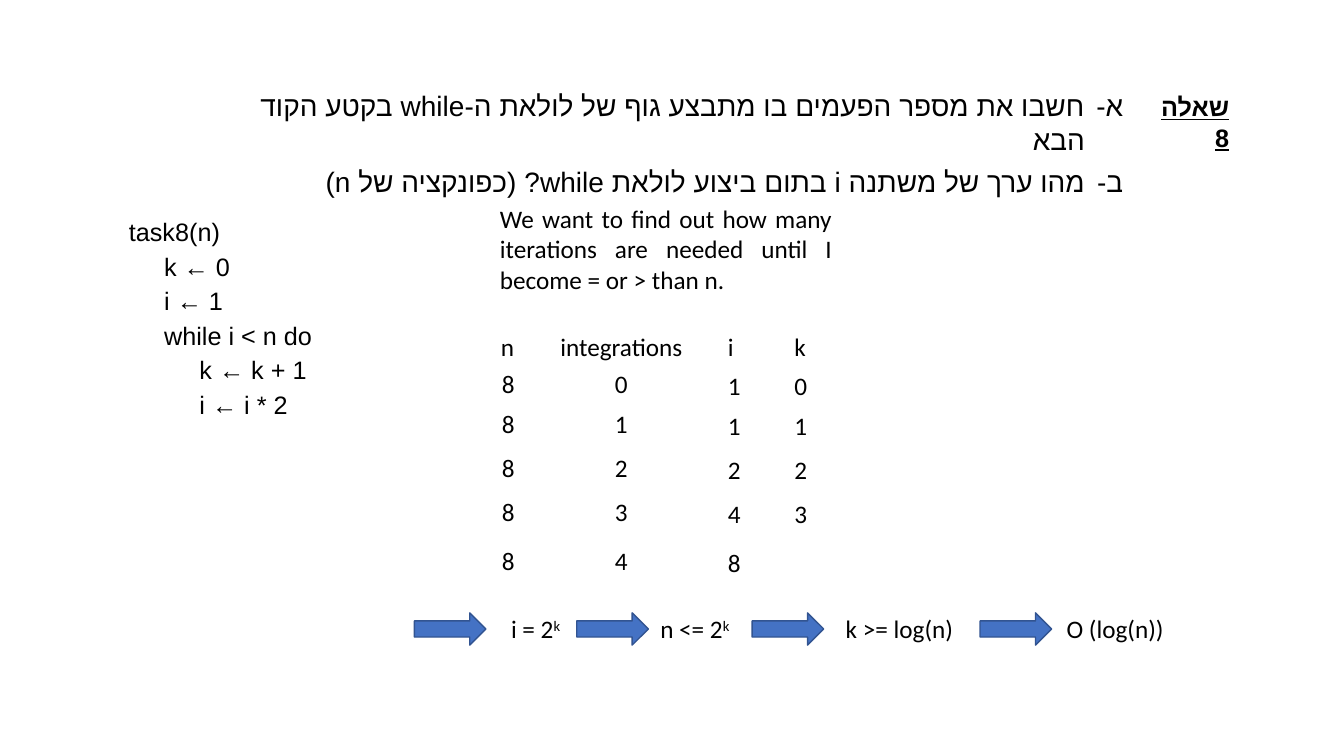
from lxml.etree import SubElement as Sub
from pptx import Presentation
from pptx.dml.color import RGBColor
from pptx.enum.shapes import MSO_SHAPE as Shape
from pptx.enum.text import MSO_ANCHOR as Anchor, MSO_AUTO_SIZE as Auto, PP_ALIGN as Align
from pptx.oxml.ns import qn
from pptx.util import Inches, Pt

BLACK = RGBColor(0x00, 0x00, 0x00)
BLUE = RGBColor(0x44, 0x72, 0xC4)
NAVY = RGBColor(0x32, 0x54, 0x91)
SERIF, SANS, PLAIN = "Times New Roman", "Arial", "Calibri"

TITLE = "שאלה 8"
TASKS = [
    [("חשבו את מספר הפעמים בו מתבצע גוף של לולאת ה-", SERIF), ("while", SANS),
     (" בקטע הקוד הבא", SERIF)],
    [("מהו ערך של משתנה ", SERIF), ("i", SANS), (" בתום ביצוע לולאת ", SERIF),
     ("while", SANS), ("? (כפונקציה של ", SERIF), ("n", SANS), (")", SERIF)],
]
CODE = [(0, "task8(n)"), (1, "k ← 0"), (1, "i ← 1"), (1, "while i < n do"),
        (2, "k ← k + 1"), (2, "i ← i * 2")]
GOAL = "We want to find out how many iterations are needed until I become = or > than n."
HEADS = [("n", 4.87, 0.43), ("integrations", 5.46, 1.5), ("i", 7.12, 0.43), ("k", 7.78, 0.43)]
COLS = [(4.88, 0), (6, 0), (7.12, 0.02), (7.78, 0.02)]
ROWS = [(3.6, "8010"), (4, "8111"), (4.44, "8222"), (4.87, "8343"), (5.36, "848")]
STEPS = [(4.11, 4.97, 0.75, "i = 2", "k"), (5.72, 6.45, 1.11, "n <= 2", "k"),
         (7.46, 8.29, 1.3, "k >= log(n)", ""), (9.72, 10.48, 1.3, "O (log(n))", "")]


def apply(item, vals):
    """Set each attribute named in a dict."""
    for key, val in vals.items():
        setattr(item, key, val)


def place(item, left, top, width, height):
    """Move and size a shape, in inches."""
    spot = dict(left=left, top=top, width=width, height=height)
    apply(item, {key: Inches(val) for key, val in spot.items()})


def write(par, text, face=PLAIN, size=18, **more):
    """Add a formatted run to a paragraph."""
    run = par.add_run()
    run.text = text
    apply(run.font, dict(name=face, size=Pt(size), **more))
    run.font.color.rgb = BLACK
    return run


def hebrew(par, text, face, size, **more):
    """Add a run with a complex script font."""
    run = write(par, text, face, size, **more)
    Sub(run.font._element, qn("a:cs")).set("typeface", SANS)


def box(slide, left, top, width, height, text=""):
    """Add a wrapped text box and return its frame."""
    frame = slide.shapes.add_textbox(*map(Inches, (left, top, width, height))).text_frame
    apply(frame, dict(word_wrap=True, auto_size=Auto.SHAPE_TO_FIT_TEXT))
    if text:
        frame.paragraphs[0].alignment = Align.JUSTIFY
        write(frame.paragraphs[0], text)
    return frame


def lines(frame, count):
    """Return the asked number of paragraphs."""
    for _ in range(count - 1):
        frame.add_paragraph()
    return frame.paragraphs


def heading(slide):
    """Fill the title and the list of tasks."""
    title, body = slide.shapes.title, slide.placeholders[1]
    place(title, 11.27, 0.86, 1.02, 0.4)
    place(body, 2.29, 0.83, 8.95, 0.86)
    for item in (title, body):
        apply(item.text_frame, dict(word_wrap=True, auto_size=Auto.NONE,
                                    vertical_anchor=Anchor.TOP))
    par = title.text_frame.paragraphs[0]
    par.alignment = Align.JUSTIFY
    par._p.get_or_add_pPr().set("rtl", "1")
    hebrew(par, TITLE, SERIF, 18, bold=True, underline=True)
    for par, runs in zip(lines(body.text_frame, len(TASKS)), TASKS):
        apply(par, dict(alignment=Align.RIGHT, space_before=Pt(6)))
        props = par._p.get_or_add_pPr()
        for key, val in dict(rtl=1, marL=Inches(0.38), indent=-Inches(0.38)).items():
            props.set(key, str(val))
        Sub(props, qn("a:buFont")).set("typeface", SANS)
        Sub(props, qn("a:buAutoNum")).set("type", "hebrew2Minus")
        for text, face in runs:
            hebrew(par, text, face, 20)


def listing(slide):
    """Write the code with one indent per level."""
    frame = box(slide, 1.18, 2.1, 2.42, 2.13)
    for par, (level, text) in zip(lines(frame, len(CODE)), CODE):
        par.space_before = Pt(3)
        par._p.get_or_add_pPr().set("marL", str(Inches(0.35 * level)))
        write(par, text, SANS)


def trace(slide):
    """Lay out the values of each loop pass."""
    for text, left, width in HEADS:
        box(slide, left, 3.24, width, 0.4, text)
    for top, vals in ROWS:
        for (left, drop), text in zip(COLS, vals):
            box(slide, left, top + drop, 0.43, 0.4, text)


def chain(slide):
    """Draw the arrows and the steps they lead to."""
    for tip, left, width, text, power in STEPS:
        arrow = slide.shapes.add_shape(Shape.RIGHT_ARROW, *map(Inches, (tip, 6.08, 0.71, 0.32)))
        arrow.shadow.inherit = False
        arrow.fill.solid()
        arrow.fill.fore_color.rgb = BLUE
        arrow.line.color.rgb = NAVY
        arrow.line.width = Pt(1)
        frame = box(slide, left, 6.04, width, 0.4, text)
        if power:
            run = write(frame.paragraphs[0], power)
            run.font._element.set("baseline", "30000")


def main():
    """Build and save the slide."""
    deck = Presentation()
    apply(deck, dict(slide_width=Inches(13.33), slide_height=Inches(7.5)))
    slide = deck.slides.add_slide(deck.slide_layouts[1])
    heading(slide)
    listing(slide)
    box(slide, 4.86, 1.97, 3.49, 1.01, GOAL)
    trace(slide)
    chain(slide)
    deck.save("out.pptx")


if __name__ == "__main__":
    main()
